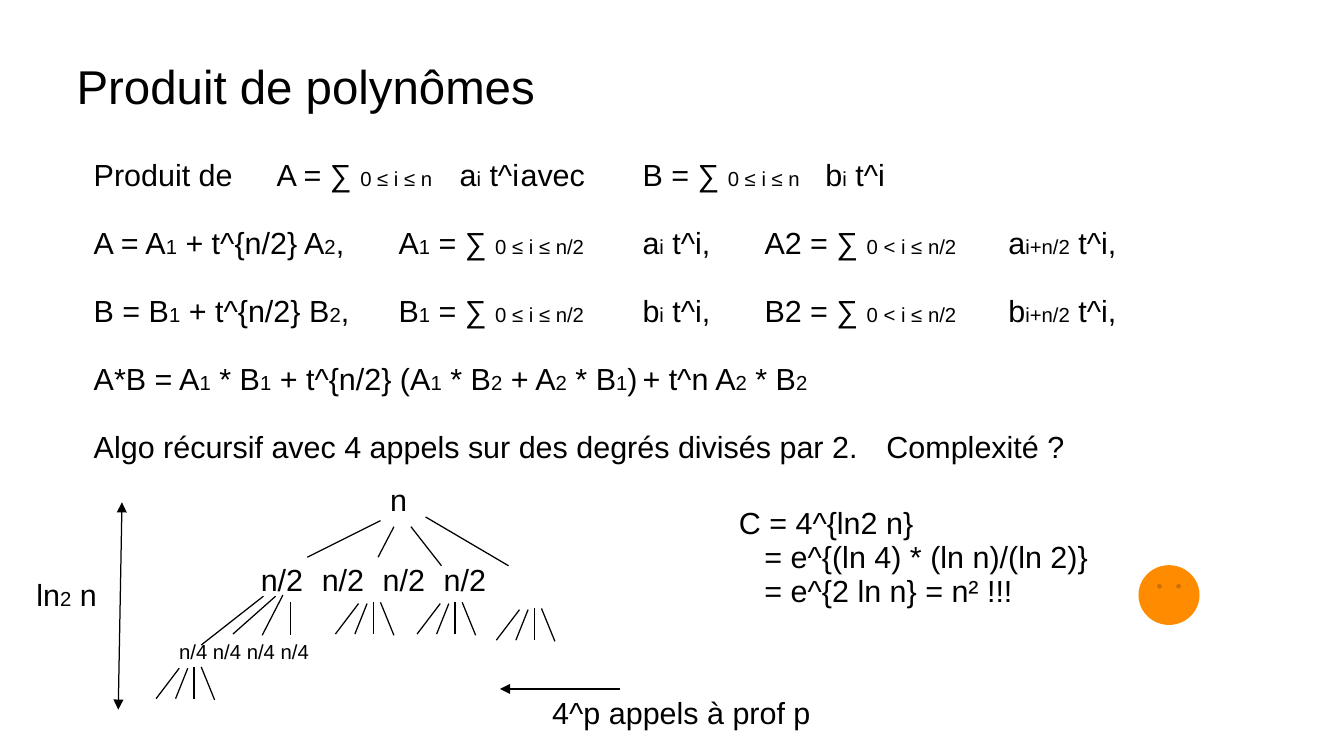
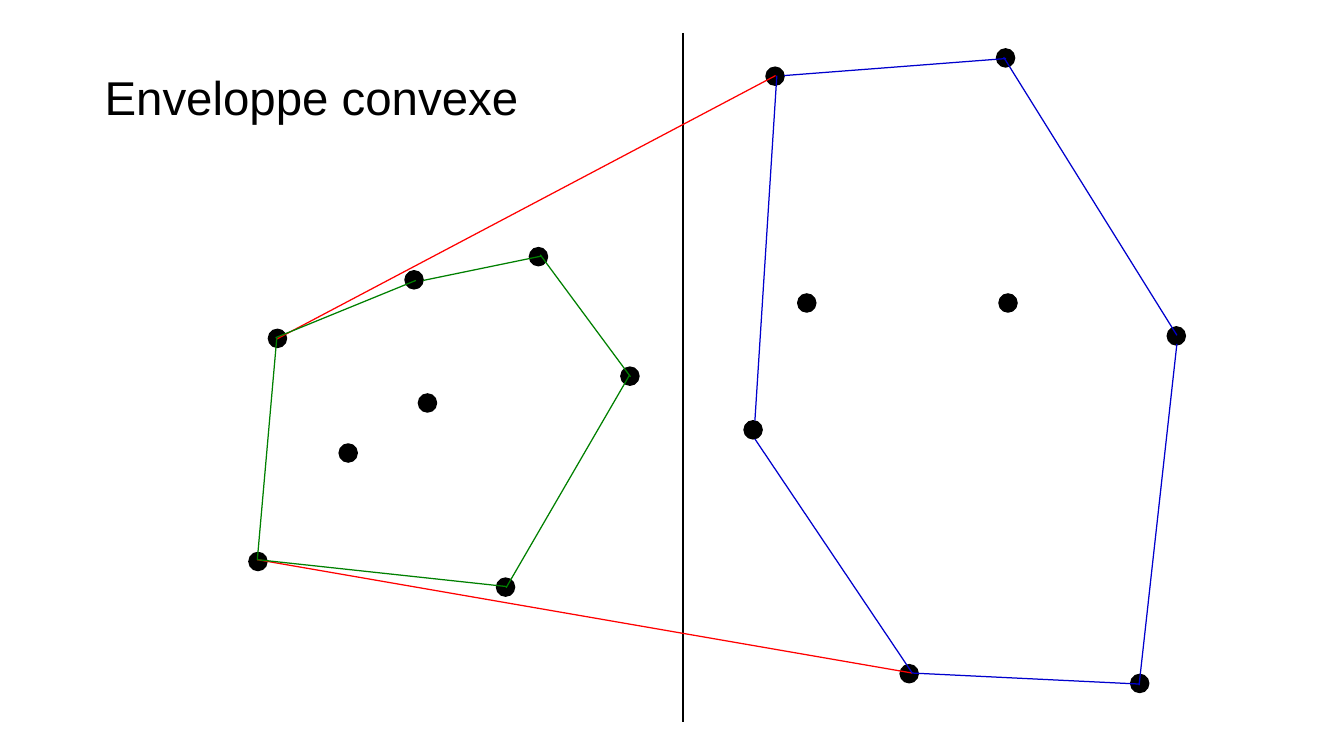
import pptx
import pptx.dml.color
import pptx.enum.shapes
import pptx.oxml
import pptx.oxml.ns
import pptx.util

Inches = pptx.util.Inches
Pt = pptx.util.Pt
RGB = pptx.dml.color.RGBColor
MSO = pptx.enum.shapes.MSO_SHAPE
STRAIGHT = pptx.enum.shapes.MSO_CONNECTOR.STRAIGHT

COLORS = {
    "black": "000000",
    "orange": "FF8C00",
    "blue": "0000CD",
    "green": "008000",
    "red": "FF0000",
}
NS = pptx.oxml.ns.nsdecls("a")
TITLE = {"size": 28}
SMALL = 12
LINE_WIDTH = Pt(0.75)


def add_text(s, box, lines, size=18, top=0.07, gap=0):
    """Each line is (text, tab stops, indent); a | in the text switches to or from small type."""
    tf = s.shapes.add_textbox(*map(Inches, box)).text_frame
    tf.word_wrap = True
    tf.margin_top = Inches(top)
    for i, (text, tabs, indent) in enumerate(lines):
        p = tf.paragraphs[0] if i == 0 else tf.add_paragraph()
        pPr = p._p.get_or_add_pPr()
        pPr.set("marL", str(Inches(indent)))
        pPr.set("indent", "0")
        if tabs:
            stops = "".join(f'<a:tab pos="{Inches(t)}" algn="l"/>' for t in tabs)
            pPr.append(pptx.oxml.parse_xml(f"<a:tabLst {NS}>{stops}</a:tabLst>"))
        p.line_spacing = 0.93
        if i:
            p.space_before = Pt(gap)
        for j, part in enumerate(text.split("|")):
            if not part:
                continue
            r = p.add_run()
            r.text = part
            font = {"name": "Arial", "size": Pt(SMALL if j % 2 else size)}
            for key, value in font.items():
                setattr(r.font, key, value)
            r.font.color.rgb = RGB.from_string(COLORS["black"])


def add_line(s, ends, color="black", arrows=()):
    """Arrows names the ends that carry an arrowhead, in the order headEnd, tailEnd."""
    c = s.shapes.add_connector(STRAIGHT, *map(Inches, ends))
    c.line.width = LINE_WIDTH
    c.line.color.rgb = RGB.from_string(COLORS[color])
    c._element.spPr.append(pptx.oxml.parse_xml(f"<a:effectLst {NS}/>"))
    for end in arrows:
        c.line._get_or_add_ln().append(
            pptx.oxml.parse_xml(f'<a:{end} {NS} type="triangle"/>'))


prs = pptx.Presentation()
prs.slide_width = Inches(11.02)
prs.slide_height = Inches(6.2)
blank = prs.slide_layouts[6]

# Slide 1: product of polynomials
s = prs.slides.add_slide(blank)
add_text(s, (0.53, 0.43, 8.27, 0.53), [("Produit de polynômes", (), 0)], top=0.08, **TITLE)

formulas = [
    ("Produit de\tA = ∑ |0 ≤ i ≤ n|\ta|i| t^i\tavec\tB = ∑ |0 ≤ i ≤ n|\tb|i| t^i",
     (1.47, 2.88, 3.79, 4.65, 6.08), 0),
    ("A = A|1| + t^{n/2} A|2|,\tA|1| = ∑ |0 ≤ i ≤ n/2|\ta|i| t^i,"
     "\tA2 = ∑ |0 < i ≤ n/2|\ta|i+n/2| t^i,",
     (2.59, 4.25, 5.21, 6.92), 0),
    ("B = B|1| + t^{n/2} B|2|,\tB|1| = ∑ |0 ≤ i ≤ n/2|\tb|i| t^i,"
     "\tB2 = ∑ |0 < i ≤ n/2|\tb|i+n/2| t^i,",
     (2.63, 4.29, 5.27, 6.97), 0),
    ("A*B = A|1| * B|1| + t^{n/2} (A|1| * B|2| + A|2| * B|1|)\t+ t^n A|2| * B|2|", (4.59,), 0),
    ("Algo récursif avec 4 appels sur des degrés divisés par 2.\tComplexité ?", (6.66,), 0),
]
add_text(s, (0.67, 1.24, 9.12, 2.62), formulas, gap=20)

# Recursion tree
add_text(s, (3.1, 3.9, 0.6, 0.38), [("n", (), 0)])
add_text(s, (2.04, 4.56, 2.6, 0.38), [("n/2\tn/2\tn/2\tn/2", (0.7, 1.32, 1.95), 0)])
add_text(s, (1.37, 5.2, 1.39, 0.38), [("n/4 n/4 n/4 n/4", (), 0)], size=SMALL, top=0.06)

root_branches = [(3.12, 4.27, 2.52, 4.57), (3.23, 4.32, 3.1, 4.57),
                 (3.37, 4.32, 3.62, 4.64), (3.49, 4.24, 4.17, 4.64)]
first_child_branches = [(2.16, 4.89, 1.65, 5.29), (2.26, 4.89, 1.91, 5.2),
                        (2.32, 4.88, 2.15, 5.21), (2.38, 4.94, 2.38, 5.21)]
for ends in root_branches + first_child_branches:
    add_line(s, ends)

fan = [(0.19, 0.01, 0, 0.26), (0.26, 0.01, 0.16, 0.26),
       (0.31, 0, 0.31, 0.26), (0.37, 0, 0.48, 0.27)]
for x, y in [(2.75, 4.94), (3.42, 4.94), (4.07, 4.99), (1.28, 5.47)]:
    for x1, y1, x2, y2 in fan:
        add_line(s, (x + x1, y + y1, x + x2, y + y2))

# Depth, number of calls and cost
add_line(s, (1, 4.12, 0.97, 5.82), arrows=("headEnd", "tailEnd"))
add_text(s, (0.2, 4.68, 0.79, 0.66), [("ln|2| n", (), 0)])
add_line(s, (4.1, 5.65, 5.08, 5.65), arrows=("headEnd",))
add_text(s, (4.43, 5.65, 2.46, 0.38), [("4^p appels à prof p", (), 0)])
add_text(s, (5.96, 4.09, 4.85, 1.78), [
    ("C = 4^{ln2 n}", (), 0),
    ("= e^{(ln 4) * (ln n)/(ln 2)}", (), 0.21),
    ("= e^{2 ln n} = n² !!!", (), 0.21),
])
smiley = s.shapes.add_shape(MSO.SMILEY_FACE, *map(Inches, (9.34, 4.64, 0.49, 0.48)))
smiley.adjustments[0] = 0.093
smiley.shadow.inherit = False
smiley.fill.solid()
smiley.fill.fore_color.rgb = RGB.from_string(COLORS["orange"])
smiley.line.color.rgb = RGB.from_string(COLORS["orange"])
smiley.line.width = LINE_WIDTH

# Slide 2: convex hull
s = prs.slides.add_slide(blank)
add_text(s, (0.76, 0.55, 8.23, 0.53), [("Enveloppe convexe", (), 0)], top=0.05, **TITLE)

DOT = 0.15
dots = [(4.07, 4.74), (4.34, 2.03), (9.57, 2.68), (9.27, 5.53), (7.38, 5.45),
        (5.09, 3.01), (2.2, 2.7), (3.32, 2.22), (8.17, 0.4), (3.43, 3.23),
        (2.78, 3.64), (2.04, 4.53), (6.1, 3.45), (6.54, 2.41), (8.19, 2.41),
        (6.28, 0.55)]
for x, y in dots:
    sp = s.shapes.add_shape(MSO.OVAL, *map(Inches, (x, y, DOT, DOT)))
    sp.shadow.inherit = False
    sp.fill.solid()
    sp.fill.fore_color.rgb = RGB.from_string(COLORS["black"])
    sp.line.color.rgb = RGB.from_string(COLORS["black"])
    sp.line.width = LINE_WIDTH

edges = {
    "black": [(5.6, 0.27, 5.6, 5.92)],
    "red": [(2.27, 2.78, 6.36, 0.62), (2.11, 4.59, 7.48, 5.52)],
    "blue": [(9.65, 2.75, 8.23, 0.47), (9.34, 5.62, 9.65, 2.82), (7.48, 5.52, 9.34, 5.61),
             (7.48, 5.52, 6.19, 3.6), (8.25, 0.48, 6.43, 0.62), (6.37, 0.62, 6.19, 3.45)],
    "green": [(4.44, 2.1, 3.47, 2.3), (5.17, 3.09, 4.43, 2.09), (4.15, 4.82, 5.16, 3.08),
              (2.11, 4.59, 4.15, 4.81), (2.27, 2.77, 2.11, 4.59), (3.41, 2.3, 2.26, 2.77)],
}
for color, lines in edges.items():
    for ends in lines:
        add_line(s, ends, color)

prs.save("out.pptx")
